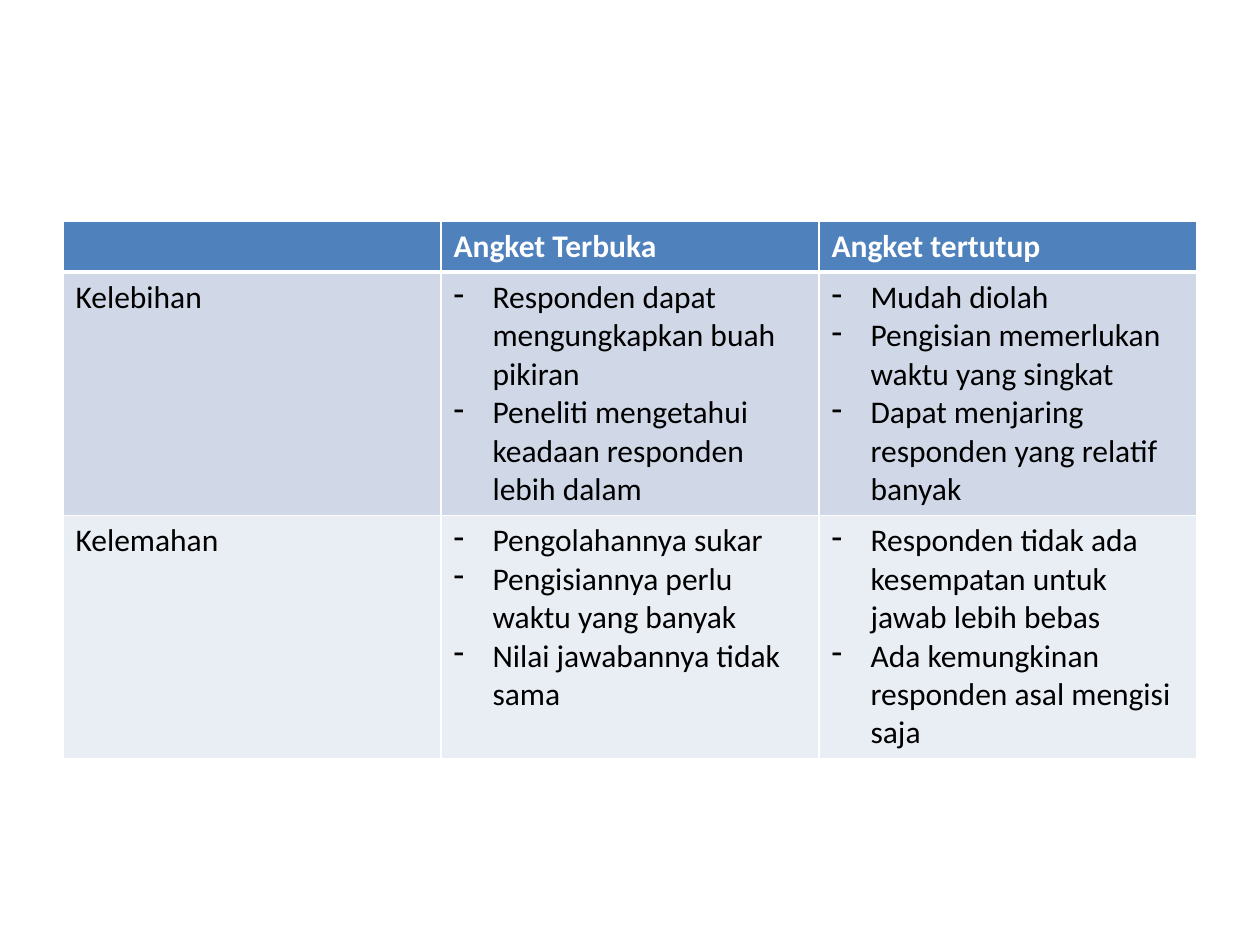
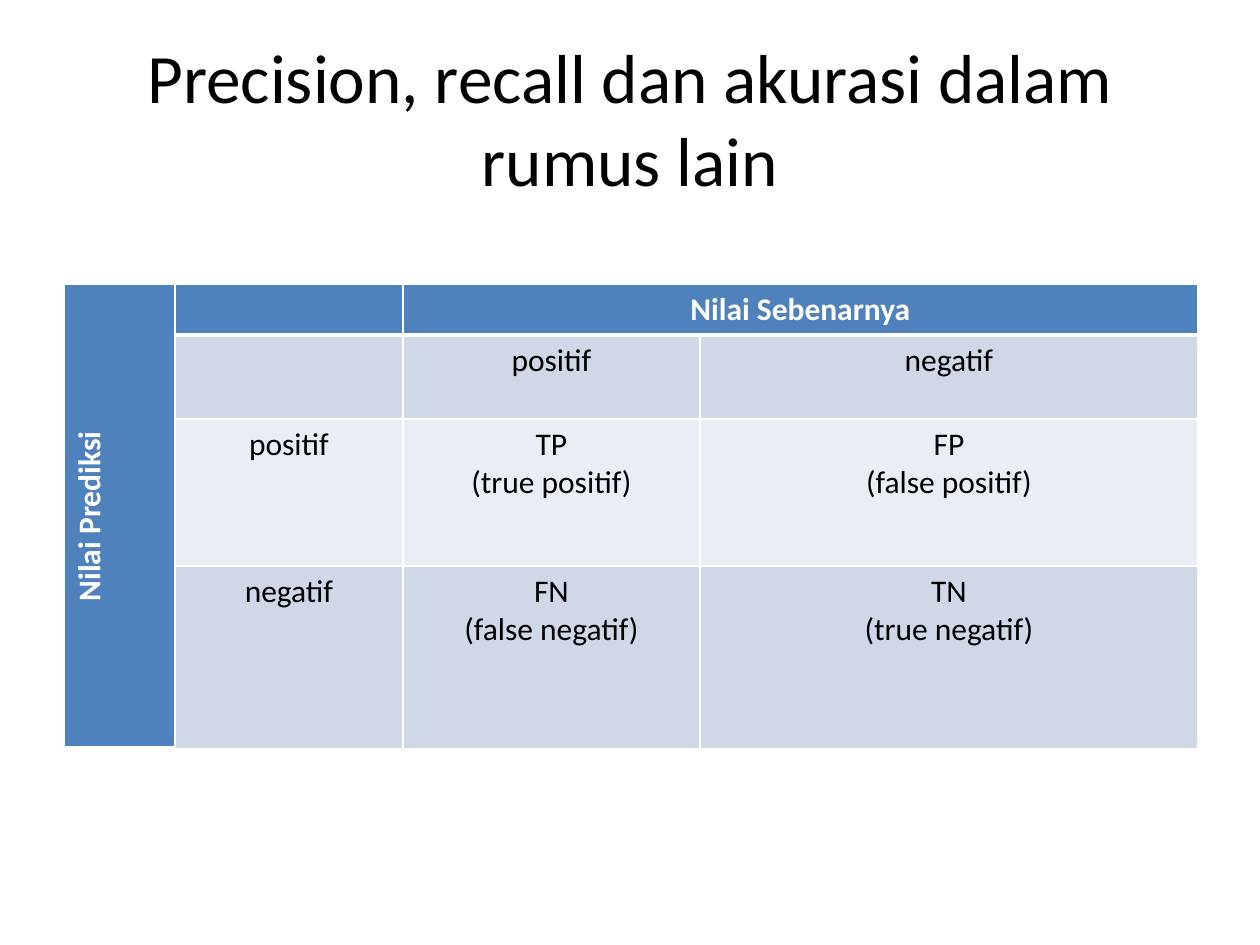
from dataclasses import dataclass

from lxml.etree import SubElement
from pptx import Presentation
from pptx.dml.color import RGBColor as RGB
from pptx.enum.text import MSO_ANCHOR as Anchor, PP_ALIGN as Align
from pptx.oxml.ns import qn
from pptx.util import Pt

TITLE_ONLY, BLANK = 5, 6

# Content: each cell is a list of paragraphs
SURVEY_ROWS = [
    [[], ["Angket Terbuka"], ["Angket tertutup"]],
    [["Kelebihan"],
     ["Responden dapat mengungkapkan buah pikiran",
      "Peneliti mengetahui keadaan responden lebih dalam"],
     ["Mudah diolah",
      "Pengisian memerlukan waktu yang singkat",
      "Dapat menjaring responden yang relatif banyak"]],
    [["Kelemahan"],
     ["Pengolahannya sukar",
      "Pengisiannya perlu waktu yang banyak",
      "Nilai jawabannya tidak sama"],
     ["Responden tidak ada kesempatan untuk jawab lebih bebas",
      "Ada kemungkinan responden asal mengisi saja"]],
]
MATRIX_ROWS = [
    [["Nilai Prediksi"], [], ["Nilai Sebenarnya"], []],
    [[], [], ["positif"], ["negatif"]],
    [[], ["positif"], ["TP", "(true positif)"], ["FP", "(false positif)"]],
    [[], ["negatif"], ["FN", "(false negatif)"], ["TN", "(true negatif)"]],
]
SLIDES = [
    dict(title=None, rows=SURVEY_ROWS, left=63, top=221,
         widths=[378] * 3, heights=[51, 243, 243],
         align=Align.LEFT, dashed=True, merges=[]),
    dict(title="Precision, recall dan akurasi dalam rumus lain",
         rows=MATRIX_ROWS, left=64, top=284,
         widths=[111, 228, 297, 498], heights=[51, 84, 147, 181],
         align=Align.CENTER, dashed=False,
         merges=[((0, 0), (3, 0)), ((0, 2), (0, 3))]),
]
TITLE_BOX = (63, 38, 1134, 158)


@dataclass(frozen=True)
class Theme:
    font: str = "Calibri"
    title_size: float = 39.6
    cell_size: int = 18
    text: str = "000000"
    header_text: str = "FFFFFF"
    header_fill: str = "4F81BD"
    bands: tuple = ("D0D8E8", "E9EDF4")
    border: str = "FFFFFF"
    thin: int = 1
    thick: int = 3
    indent: int = 39


THEME = Theme()


def px(n):
    return round(n * 914400 / 126)


def add_run(p, text, size, color, bold=False):
    r = p.add_run()
    r.text = text
    r.font.name, r.font.size, r.font.bold = THEME.font, Pt(size), bold
    r.font.color.rgb = RGB.from_string(color)


def add_dash(p):
    pPr = p._p.get_or_add_pPr()
    pPr.set("marL", str(px(THEME.indent)))
    pPr.set("indent", str(-px(THEME.indent)))
    SubElement(pPr, qn("a:buFontTx"))
    SubElement(pPr, qn("a:buChar"), char="-")


def set_borders(cell, bottom):
    tcPr = cell._tc.get_or_add_tcPr()
    for side in "LRTB":
        width = bottom if side == "B" else THEME.thin
        ln = SubElement(tcPr, qn(f"a:ln{side}"), w=str(Pt(width)))
        fill = SubElement(ln, qn("a:solidFill"))
        SubElement(fill, qn("a:srgbClr"), val=THEME.border)


def format_cell(cell, paragraphs, band, header, align, dashed):
    set_borders(cell, THEME.thick if header else THEME.thin)
    cell.fill.solid()
    cell.fill.fore_color.rgb = RGB.from_string(
        THEME.header_fill if header else THEME.bands[band])
    tf = cell.text_frame
    for i, text in enumerate(paragraphs):
        p = tf.add_paragraph() if i else tf.paragraphs[0]
        p.alignment = align
        if dashed:
            add_dash(p)
        add_run(p, text, THEME.cell_size,
                THEME.header_text if header else THEME.text, header)


def add_title(s, text):
    sp = s.shapes.title
    sp.left, sp.top, sp.width, sp.height = map(px, TITLE_BOX)
    tf = sp.text_frame
    tf.word_wrap, tf.vertical_anchor = True, Anchor.MIDDLE
    p = tf.paragraphs[0]
    p.alignment = Align.CENTER
    add_run(p, text, THEME.title_size, THEME.text)


def add_grid(s, item):
    rows, widths, heights = item["rows"], item["widths"], item["heights"]
    table = s.shapes.add_table(
        len(rows), len(widths), px(item["left"]), px(item["top"]),
        px(sum(widths)), px(sum(heights))).table
    for column, width in zip(table.columns, widths):
        column.width = px(width)
    for row, height in zip(table.rows, heights):
        row.height = px(height)
    for i, row in enumerate(rows):
        for j, paragraphs in enumerate(row):
            format_cell(table.cell(i, j), paragraphs, (i - 1) % 2, i == 0,
                        item["align"], item["dashed"] and i > 0 and j > 0)
    for start, end in item["merges"]:
        cell = table.cell(*start)
        cell.merge(table.cell(*end))
        # A cell that spans rows reads upwards
        if end[0] > start[0]:
            cell._tc.get_or_add_tcPr().set("vert", "vert270")


def main():
    prs = Presentation()
    prs.slide_width, prs.slide_height = px(1260), px(945)
    for item in SLIDES:
        layout = TITLE_ONLY if item["title"] else BLANK
        s = prs.slides.add_slide(prs.slide_layouts[layout])
        if item["title"]:
            add_title(s, item["title"])
        add_grid(s, item)
    prs.save("out.pptx")


if __name__ == "__main__":
    main()
